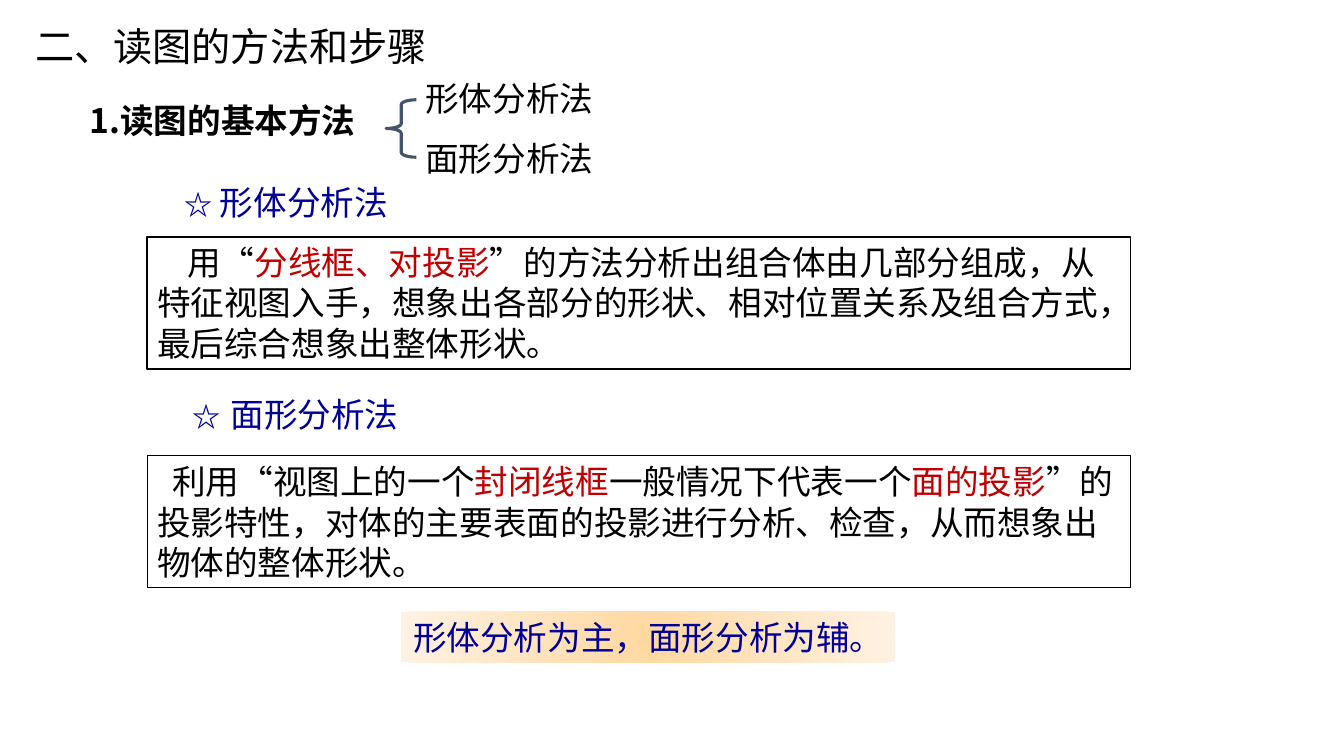
"""Builds the slide on the methods and steps of reading drawings."""
from lxml.etree import SubElement
from pptx import Presentation
from pptx.dml.color import RGBColor
from pptx.enum.shapes import MSO_SHAPE
from pptx.enum.text import MSO_ANCHOR, PP_ALIGN
from pptx.oxml.ns import qn
from pptx.util import Inches, Pt

FONT = "Noto Sans CJK SC"
COLORS = {
    "black": "000000", "navy": "000099", "red": "C00000", "slate": "44546A",
    "glow": "FFD8A0", "cream": "FFF2E3",
}


def color(name):
    return RGBColor.from_string(COLORS[name])


def write(holder, runs, anchor=MSO_ANCHOR.TOP, align=PP_ALIGN.LEFT, wrap=True, indent=0):
    frame = holder.text_frame
    frame.word_wrap = wrap
    frame.vertical_anchor = anchor
    paragraph = frame.paragraphs[0]
    paragraph.alignment = align
    paragraph.line_spacing = Pt(round(1.2 * max(size for _, size, _, _ in runs), 1))
    if indent:
        paragraph._p.get_or_add_pPr().set("indent", str(Inches(indent)))
    for words, size, tint, bold in runs:
        run = paragraph.add_run()
        run.text = words
        run.font.color.rgb = color(tint)
        for key, value in {"name": FONT, "size": Pt(size), "bold": bold}.items():
            setattr(run.font, key, value)
        SubElement(run._r.get_or_add_rPr(), qn("a:ea")).set("typeface", FONT)


presentation = Presentation()
presentation.slide_width = Inches(13.33)
presentation.slide_height = Inches(7.5)
slide = presentation.slides.add_slide(presentation.slide_layouts[6])
shapes = slide.shapes

headings = [
    (0.25, 0.17, 5.67, 0.57, [("二、读图的方法和步骤", 28, "black", False)], {}),
    (0.79, 0.94, 4.46, 0.5, [("1.读图的基本方法", 24, "black", True)],
     {"anchor": MSO_ANCHOR.MIDDLE}),
    (1.73, 1.76, 3.36, 0.5,
     [("☆", 20, "navy", True), (" 形体分析法", 24, "navy", False)], {}),
    (1.81, 3.75, 3.65, 0.63,
     [("☆", 20, "navy", True), (" ", 32, "navy", False),
      ("面形分析法", 24, "navy", False)], {}),
]
for row, method in enumerate(["形体分析法", "面形分析法"]):
    headings.append((4.12, 0.72 + 0.59 * row, 1.89, 0.51,
                     [(method, 24, "black", False)],
                     {"anchor": MSO_ANCHOR.MIDDLE, "wrap": False}))
for left, top, width, height, runs, layout in headings:
    heading = shapes.add_textbox(Inches(left), Inches(top), Inches(width), Inches(height))
    write(heading, runs, **layout)

brace = shapes.add_shape(MSO_SHAPE.LEFT_BRACE, Inches(3.83), Inches(0.99),
                         Inches(0.3), Inches(0.57))
brace.shadow.inherit = False
brace.adjustments[0] = 0.16
brace.adjustments[1] = 0.5
brace.fill.background()
brace.line.color.rgb = color("slate")
brace.line.width = Pt(2.25)

explanations = [
    (2.35, 1, 0.3, MSO_ANCHOR.TOP, [
        ("用“", "black"), ("分线框、对投影", "red"),
        ("”的方法分析出组合体由几部分组成，从特征视图入手，想象出各部分的形状、"
         "相对位置关系及组合方式，最后综合想象出整体形状。", "black")]),
    (4.52, 0.75, 0.15, MSO_ANCHOR.MIDDLE, [
        ("利用“视图上的一个", "black"), ("封闭线框", "red"),
        ("一般情况下代表一个", "black"), ("面的投影", "red"),
        ("”的投影特性，对体的主要表面的投影进行分析、检查，"
         "从而想象出物体的整体形状。", "black")]),
]
for top, border, indent, anchor, parts in explanations:
    explanation = shapes.add_shape(MSO_SHAPE.RECTANGLE, Inches(1.46), Inches(top),
                                   Inches(9.75), Inches(1.31))
    explanation.shadow.inherit = False
    explanation.fill.background()
    explanation.line.color.rgb = color("black")
    explanation.line.width = Pt(border)
    write(explanation, [(words, 24, tint, False) for words, tint in parts],
          anchor=anchor, indent=indent)

conclusion = shapes.add_shape(MSO_SHAPE.RECTANGLE, Inches(3.98), Inches(6.07),
                              Inches(4.9), Inches(0.5))
conclusion.shadow.inherit = False
conclusion.line.fill.background()
conclusion.fill.gradient()
for stop, position, tint in zip(conclusion.fill.gradient_stops, (0, 1), ("glow", "cream")):
    stop.position = position
    stop.color.rgb = color(tint)
gradient = conclusion._element.spPr.find(qn("a:gradFill"))
gradient.remove(gradient.find(qn("a:lin")))
radial = SubElement(gradient, qn("a:path"))
radial.set("path", "circle")
focus = SubElement(radial, qn("a:fillToRect"))
for side in "ltrb":
    focus.set(side, "50000")
write(conclusion, [("形体分析为主，面形分析为辅。", 24, "navy", False)], align=PP_ALIGN.CENTER)

presentation.save("out.pptx")
